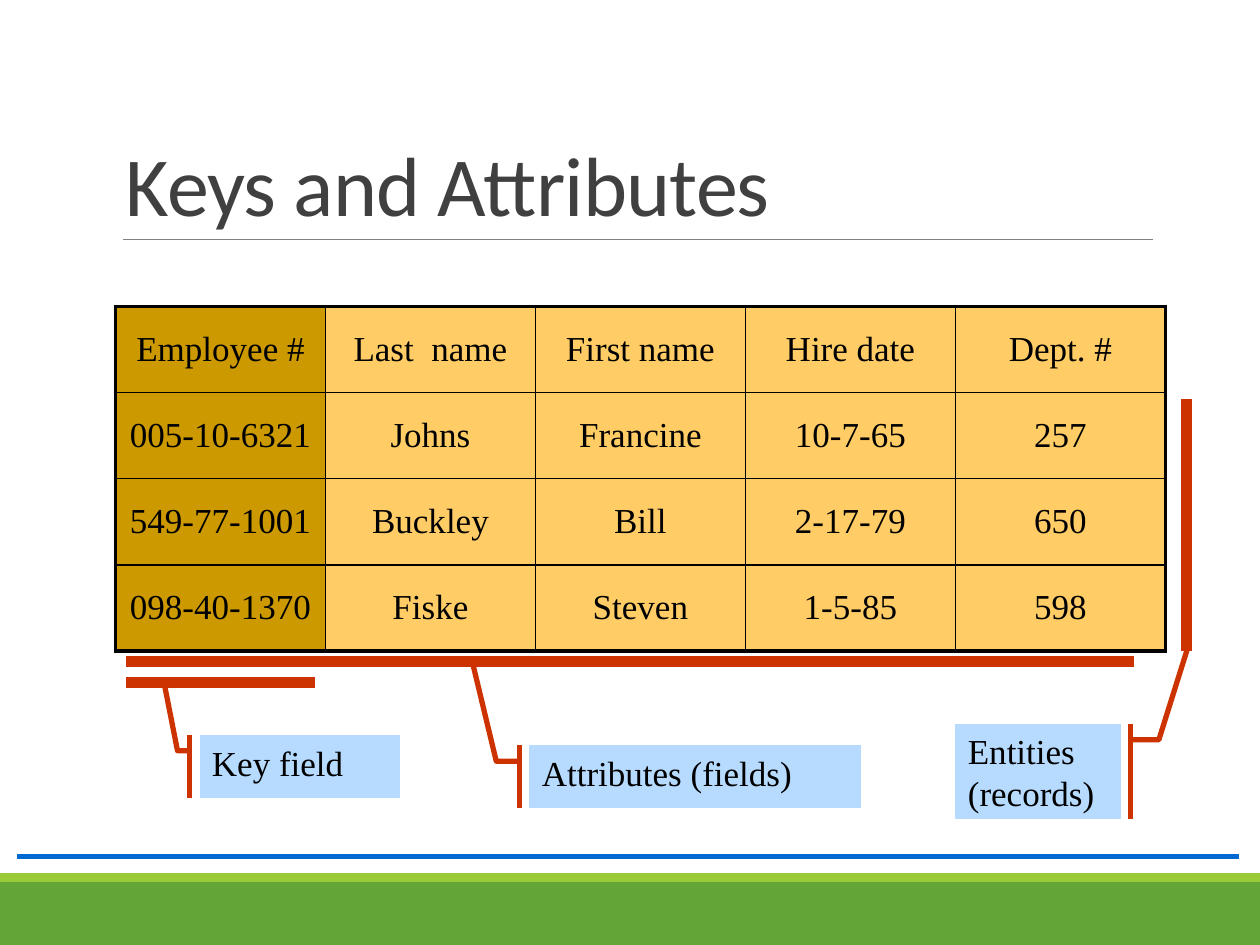
"""Build the Keys and Attributes slide: an employee table with labelled callouts."""
from lxml import etree
from pptx import Presentation
from pptx.dml.color import RGBColor
from pptx.enum import shapes, text
from pptx.oxml import ns
from pptx.util import Pt

SERIF, BLACK, RED = "Times New Roman", "000000", "CC3300"
KEY, FIELD, LABEL = "CC9900", "FFCC66", "B7DBFF"
ROWS = [
    ["Employee #", "Last  name", "First name", "Hire date", "Dept. #"],
    ["005-10-6321", "Johns", "Francine", "10-7-65", "257"],
    ["549-77-1001", "Buckley", "Bill", "2-17-79", "650"],
    ["098-40-1370", "Fiske", "Steven", "1-5-85", "598"],
]
TABLE_LEFT, TABLE_TOP, COL_WIDTH, ROW_HEIGHT = 66, 175, 120, 49.25
BANDS = [((0, 504, 720, 36), "63A537"), ((0, 499, 720, 5), "99CB38")]
RULES = [
    ((70.5, 136.8, 659, 136.8), "808080", 0.5),
    ((10, 489.5, 708, 489.5), "0069D2", 3),
]
MARKERS = [
    ((72, 390, 180, 390), RED, 6),
    ((72, 378, 648, 378), RED, 6),
    ((678, 228, 678, 372), RED, 6),
]
CALLOUTS = [
    ("Key field", (114, 420, 114.5, 36), (0.25, -0.05, 0.25, -0.11, -0.88, -0.18)),
    ("Attributes (fields)", (302.5, 426, 189.5, 36), (0.25, -0.03, 0.25, -0.1, -1.28, -0.17)),
    ("Entities\n(records)", (546, 413.5, 94.5, 54.5), (0.17, 1.06, 0.17, 1.23, -0.77, 1.4)),
]


def rgb(color):
    return RGBColor.from_string(color)


def pts(values):
    return [Pt(v) for v in values]


def paint(target, color):
    target.fill.solid()
    target.fill.fore_color.rgb = rgb(color)


def write(tf, content, font=SERIF, size=20, color=BLACK, align="LEFT",
          anchor="TOP", line_spacing=None, spacing=None):
    tf.word_wrap = True
    tf.vertical_anchor = getattr(text.MSO_ANCHOR, anchor)
    p = tf.paragraphs[0]
    p.text = content
    p.alignment = getattr(text.PP_ALIGN, align)
    p.line_spacing = line_spacing
    for r in p.runs:
        r.font.name, r.font.size = font, Pt(size)
        r.font.color.rgb = rgb(color)
        if spacing is not None:
            r.font._element.set("spc", str(int(spacing * 100)))


def add_shape(s, kind, box, fill):
    sp = s.shapes.add_shape(kind, *pts(box))
    sp.shadow.inherit = False
    paint(sp, fill)
    sp.line.fill.background()
    return sp


def add_line(s, ends, color, width):
    sp = s.shapes.add_connector(shapes.MSO_CONNECTOR.STRAIGHT, *pts(ends))
    sp.line.color.rgb, sp.line.width = rgb(color), Pt(width)
    etree.SubElement(sp._element.spPr, ns.qn("a:effectLst"))


def add_callout(s, label, box, bends):
    sp = add_shape(s, shapes.MSO_SHAPE.LINE_CALLOUT_2_ACCENT_BAR, box, LABEL)
    sp.line.color.rgb, sp.line.width = rgb(RED), Pt(3)
    for i, bend in enumerate(bends):
        sp.adjustments[i] = bend
    write(sp.text_frame, label)


def set_borders(cell, outer):
    tc_pr = cell._tc.get_or_add_tcPr()
    for i, (side, is_outer) in enumerate(outer.items()):
        width = Pt(2.25 if is_outer else 1)
        ln = etree.Element(ns.qn(f"a:ln{side}"), w=str(width))
        fill = etree.SubElement(ln, ns.qn("a:solidFill"))
        etree.SubElement(fill, ns.qn("a:srgbClr"), val=BLACK)
        tc_pr.insert(i, ln)


def add_employees(s):
    n_rows, n_cols = len(ROWS), len(ROWS[0])
    box = TABLE_LEFT, TABLE_TOP, COL_WIDTH * n_cols, ROW_HEIGHT * n_rows
    table = s.shapes.add_table(n_rows, n_cols, *pts(box)).table
    for column in table.columns:
        column.width = Pt(COL_WIDTH)
    for i, values in enumerate(ROWS):
        table.rows[i].height = Pt(ROW_HEIGHT)
        for j, value in enumerate(values):
            cell = table.cell(i, j)
            paint(cell, FIELD if j else KEY)
            write(cell.text_frame, value, align="CENTER")
            cell.vertical_anchor = text.MSO_ANCHOR.MIDDLE
            set_borders(cell, {"L": j == 0, "R": j == n_cols - 1,
                               "T": i == 0, "B": i == n_rows - 1})


def main():
    prs = Presentation()
    prs.slide_width, prs.slide_height = Pt(720), Pt(540)
    s = prs.slides.add_slide(prs.slide_layouts[6])
    for box, color in BANDS:
        add_shape(s, shapes.MSO_SHAPE.RECTANGLE, box, color)
    for rule in RULES:
        add_line(s, *rule)
    title = s.shapes.add_textbox(*pts((64.8, 22.3, 594, 114.5)))
    write(title.text_frame, "Keys and Attributes", font="Calibri", size=48,
          color="404040", anchor="BOTTOM", line_spacing=0.85, spacing=-0.5)
    for marker in MARKERS:
        add_line(s, *marker)
    for callout in CALLOUTS:
        add_callout(s, *callout)
    add_employees(s)
    prs.save("out.pptx")


if __name__ == "__main__":
    main()
